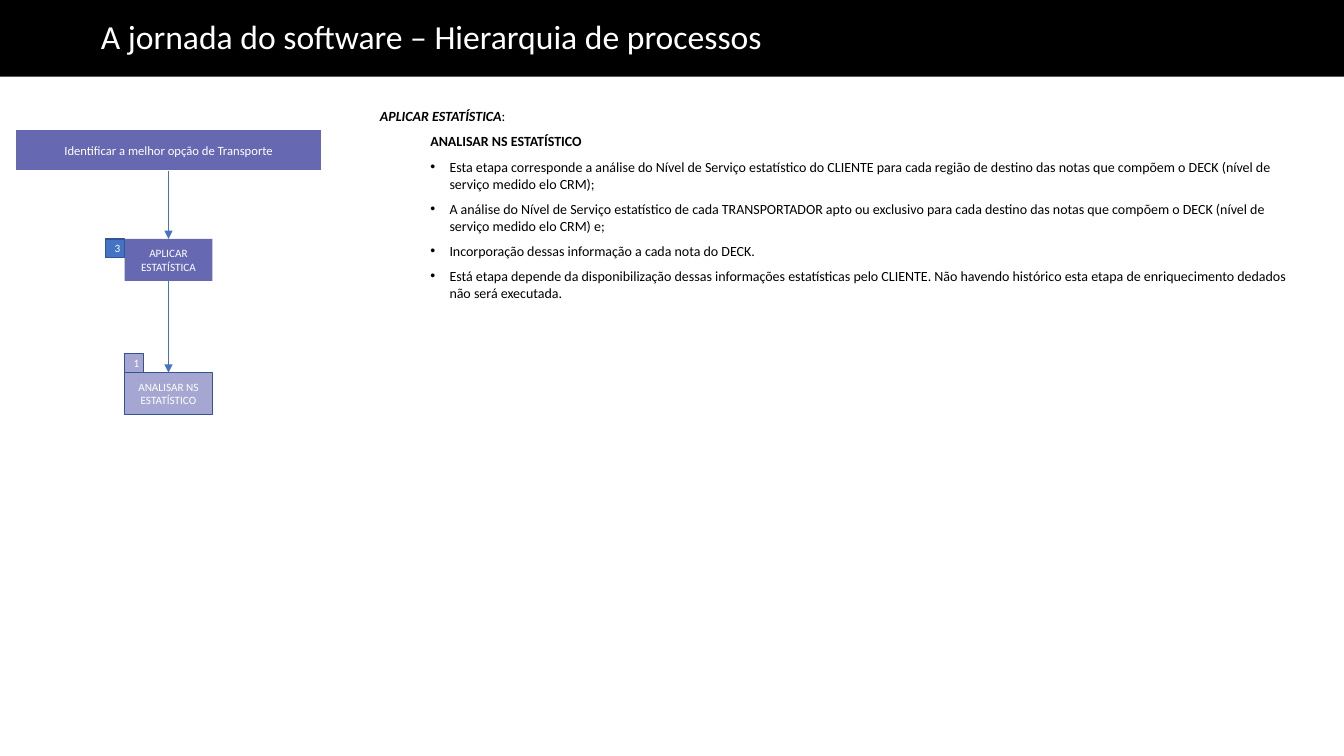
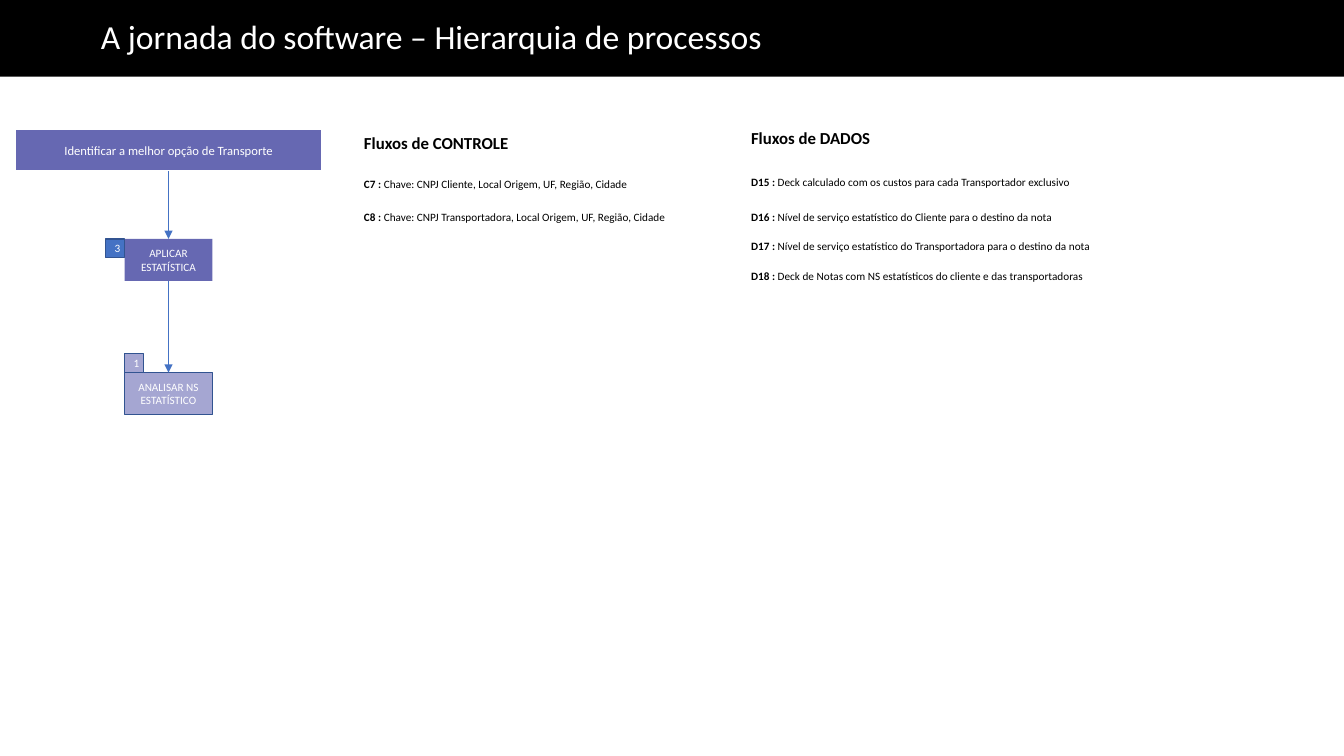
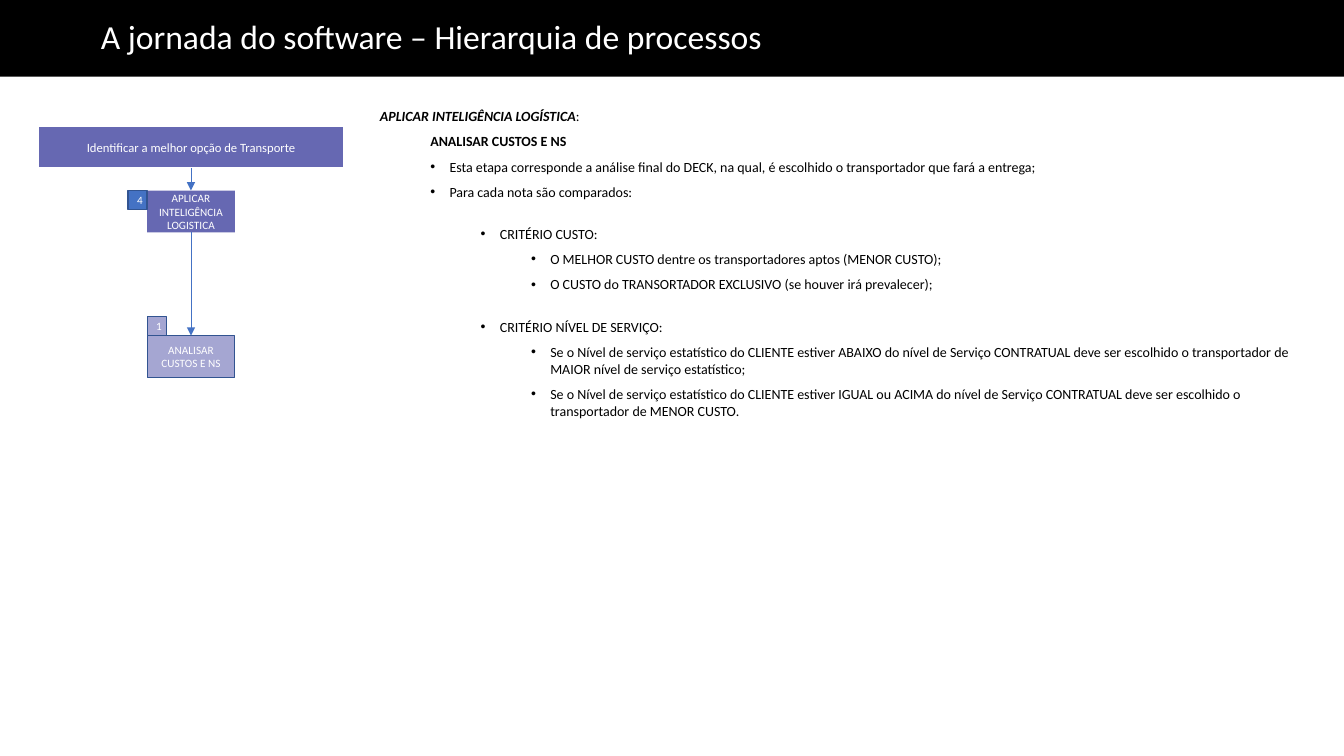
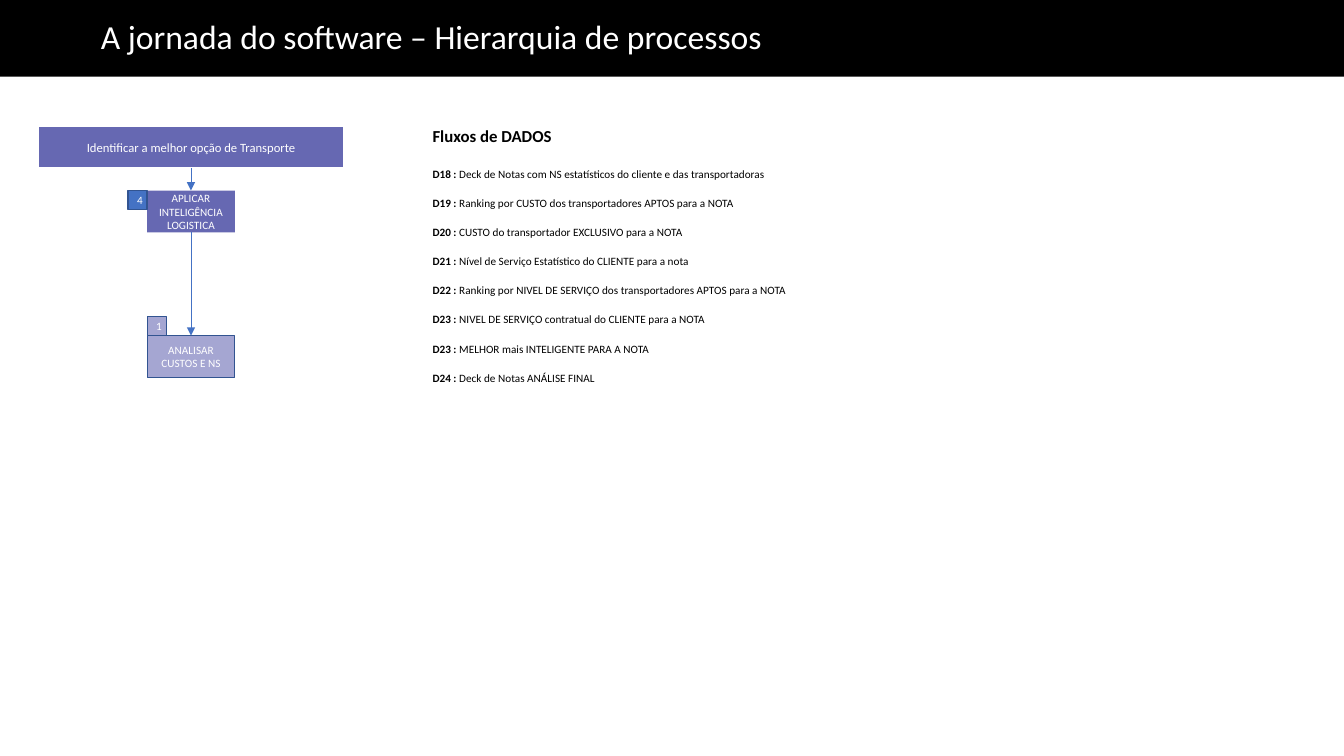
"""Build four slides that describe the process hierarchy of a transport software."""
from dataclasses import dataclass

from lxml import etree
from pptx import Presentation
from pptx.dml.color import RGBColor
from pptx.enum.shapes import MSO_CONNECTOR, MSO_SHAPE
from pptx.enum.text import MSO_ANCHOR, PP_ALIGN
from pptx.oxml.ns import qn
from pptx.shapes.autoshape import Shape
from pptx.slide import Slide
from pptx.text.text import _Paragraph as Paragraph
from pptx.util import Emu, Inches, Pt

RECTANGLE = MSO_SHAPE.RECTANGLE
STRAIGHT = MSO_CONNECTOR.STRAIGHT
MIDDLE = MSO_ANCHOR.MIDDLE
CENTER = PP_ALIGN.CENTER
LEFT = PP_ALIGN.LEFT
TOP_SIDE, BOTTOM_SIDE = 0, 2

BLACK = RGBColor(0x00, 0x00, 0x00)
WHITE = RGBColor(0xFF, 0xFF, 0xFF)
PURPLE = RGBColor(0x66, 0x68, 0xB2)
LILAC = RGBColor(0xA5, 0xA6, 0xD2)
BLUE = RGBColor(0x44, 0x72, 0xC4)
NAVY = RGBColor(0x32, 0x54, 0x91)

FONT = "Calibri"
TITLE = "A jornada do software – Hierarquia de processos"
GOAL = "Identificar a melhor opção de Transporte"
SLIDE_WIDTH, SLIDE_HEIGHT = Inches(13.33), Inches(7.5)
TITLE_ONLY = 5

BAND_HEIGHT = 10.13
GOAL_WIDTH, NODE_WIDTH, NODE_HEIGHT = 22.73, 6.53, 5.55
BADGE_WIDTH, BADGE_HEIGHT = 1.41, 2.5
FLOW_WIDTH, HEADING_HEIGHT, ENTRY_HEIGHT = 26.55, 2.67, 1.73
ENTRY_PITCH = 3.85
BULLET_INDENT, LEVEL_INDENT = 0.19, 0.5


@dataclass(frozen=True)
class Box:
    """A rectangle in percent of the slide's width and height."""

    left: float
    top: float
    width: float
    height: float


@dataclass(frozen=True)
class Style:
    """Fill, outline and text size of a rectangle."""

    fill: RGBColor
    line: RGBColor | None = None
    line_width: float = 0.5
    size: float = 8


@dataclass(frozen=True)
class Process:
    """The three-step diagram at the left of a slide."""

    center: float
    goal_top: float
    stage_top: float
    step_top: float
    number: str
    stage: str
    step: str


@dataclass(frozen=True)
class Item:
    """A paragraph of the description."""

    text: str
    level: int = 1
    space_before: float = 0


@dataclass(frozen=True)
class Description:
    """The stage, its step and the bullets that explain it."""

    stage: str
    step: str
    items: tuple[Item, ...]


@dataclass(frozen=True)
class FlowColumn:
    """A headed list of coded flows."""

    left: float
    heading_top: float
    heading: str
    tops: tuple[float, ...]
    entries: tuple[tuple[str, str], ...]


GOAL_STYLE = Style(PURPLE, WHITE, 1, 9)
STAGE_STYLE = Style(PURPLE)
STAGE_BADGE_STYLE = Style(BLUE, NAVY, 1)
STEP_STYLE = Style(LILAC, NAVY)
DESCRIPTION_BOX = Box(27.53, 13.6, 69.45, 43.33)


def evenly(first: float, count: int) -> tuple[float, ...]:
    """Return the tops of equally spaced entries."""
    return tuple(first + ENTRY_PITCH * row for row in range(count))


STATISTICS = Process(12.54, 17.07, 31.6, 49.3, "3",
                     "APLICAR\nESTATÍSTICA", "ANALISAR NS ESTATÍSTICO")
INTELLIGENCE = Process(14.21, 16.67, 25.2, 44.4, "4",
                       "APLICAR\nINTELIGÊNCIA LOGISTICA", "ANALISAR CUSTOS E NS")

STATISTICS_DESCRIPTION = Description("APLICAR ESTATÍSTICA", "ANALISAR NS ESTATÍSTICO", (
    Item("Esta etapa corresponde a análise do Nível de Serviço estatístico do CLIENTE para cada "
         "região de destino das notas que compõem o DECK (nível de serviço medido elo CRM);"),
    Item("A análise do Nível de Serviço estatístico de cada TRANSPORTADOR apto ou exclusivo para "
         "cada destino das notas que compõem o DECK (nível de serviço medido elo CRM) e;"),
    Item("Incorporação dessas informação a cada nota do DECK."),
    Item("Está etapa depende da disponibilização dessas informações estatísticas pelo CLIENTE. "
         "Não havendo histórico esta etapa de enriquecimento dedados não será executada."),
))

INTELLIGENCE_DESCRIPTION = Description("APLICAR INTELIGÊNCIA LOGÍSTICA", "ANALISAR CUSTOS E NS", (
    Item("Esta etapa corresponde a análise final do DECK, na qual, é escolhido o transportador "
         "que fará a entrega;"),
    Item("Para cada nota são comparados:"),
    Item("CRITÉRIO CUSTO:", 2, 12),
    Item("O MELHOR CUSTO dentre os transportadores aptos (MENOR CUSTO);", 3),
    Item("O CUSTO do TRANSORTADOR EXCLUSIVO (se houver irá prevalecer);", 3),
    Item("CRITÉRIO NÍVEL DE SERVIÇO:", 2, 12),
    Item("Se o Nível de serviço estatístico do CLIENTE estiver ABAIXO do nível de Serviço "
         "CONTRATUAL deve ser escolhido o transportador de MAIOR nível de serviço estatístico;", 3),
    Item("Se o Nível de serviço estatístico do CLIENTE estiver IGUAL ou ACIMA do nível de Serviço "
         "CONTRATUAL deve ser escolhido o transportador de MENOR CUSTO.", 3),
))

STATISTICS_FLOWS = (
    FlowColumn(27.08, 17.6, "Fluxos de CONTROLE", (23.47, 27.87), (
        ("C7", "Chave: CNPJ Cliente, Local Origem, UF, Região, Cidade"),
        ("C8", "Chave: CNPJ Transportadora, Local Origem, UF, Região, Cidade"),
    )),
    FlowColumn(55.88, 16.93, "Fluxos de DADOS", (23.2, *evenly(27.87, 3)), (
        ("D15", "Deck calculado com os custos para cada Transportador exclusivo"),
        ("D16", "Nível de serviço estatístico do Cliente para o destino da nota"),
        ("D17", "Nível de serviço estatístico do Transportadora para o destino da nota"),
        ("D18", "Deck de Notas com NS estatísticos do cliente e das transportadoras"),
    )),
)

INTELLIGENCE_FLOWS = (
    FlowColumn(32.18, 16.67, "Fluxos de DADOS", evenly(22.13, 8), (
        ("D18", "Deck de Notas com NS estatísticos do cliente e das transportadoras"),
        ("D19", "Ranking por CUSTO dos transportadores APTOS para a NOTA"),
        ("D20", "CUSTO do transportador EXCLUSIVO para a NOTA"),
        ("D21", "Nível de Serviço Estatístico do CLIENTE para a nota"),
        ("D22", "Ranking por NIVEL DE SERVIÇO dos transportadores APTOS para a NOTA"),
        ("D23", "NIVEL DE SERVIÇO contratual do CLIENTE para a NOTA"),
        ("D23", "MELHOR mais INTELIGENTE PARA A NOTA"),
        ("D24", "Deck de Notas ANÁLISE FINAL"),
    )),
)


def place(box: Box) -> tuple[Emu, Emu, Emu, Emu]:
    """Turn the shares of a box into lengths."""
    return (Emu(round(SLIDE_WIDTH * box.left / 100)), Emu(round(SLIDE_HEIGHT * box.top / 100)),
            Emu(round(SLIDE_WIDTH * box.width / 100)), Emu(round(SLIDE_HEIGHT * box.height / 100)))


def format_runs(paragraph: Paragraph, size: float, color: RGBColor = BLACK) -> None:
    """Give every run of a paragraph the shared font."""
    for run in paragraph.runs:
        run.font.name = FONT
        run.font.size = Pt(size)
        run.font.color.rgb = color


def add_lead(paragraph: Paragraph, lead: str, rest: str, size: float, italic: bool = False) -> None:
    """Write a bold lead followed by plain text."""
    for text, is_lead in ((lead, True), (rest, False)):
        run = paragraph.add_run()
        run.text = text
        run.font.bold = is_lead
        run.font.italic = is_lead and italic
    format_runs(paragraph, size)


def add_title(slide: Slide) -> None:
    """Make the title placeholder a black band across the slide."""
    title = slide.shapes.title
    title.left, title.top, title.width, title.height = place(Box(0, 0, 100, BAND_HEIGHT))
    title.fill.solid()
    title.fill.fore_color.rgb = BLACK
    frame = title.text_frame
    frame.text = TITLE
    frame.vertical_anchor = MIDDLE
    frame.margin_left = Inches(1)
    paragraph = frame.paragraphs[0]
    paragraph.alignment = LEFT
    paragraph.line_spacing = 0.9
    format_runs(paragraph, 24, WHITE)


def add_node(slide: Slide, box: Box, text: str, style: Style) -> Shape:
    """Draw a rectangle with centred white text."""
    shape = slide.shapes.add_shape(RECTANGLE, *place(box))
    shape.shadow.inherit = False
    shape.fill.solid()
    shape.fill.fore_color.rgb = style.fill
    if style.line is None:
        shape.line.fill.background()
    else:
        shape.line.color.rgb = style.line
        shape.line.width = Pt(style.line_width)
    frame = shape.text_frame
    frame.text = text
    frame.word_wrap = True
    frame.vertical_anchor = MIDDLE
    for paragraph in frame.paragraphs:
        paragraph.alignment = CENTER
        format_runs(paragraph, style.size, WHITE)
    return shape


def add_arrow(slide: Slide, upper: Shape, lower: Shape) -> None:
    """Join two rectangles with a downward arrow."""
    connector = slide.shapes.add_connector(STRAIGHT, 0, 0, 0, 0)
    connector.begin_connect(upper, BOTTOM_SIDE)
    connector.end_connect(lower, TOP_SIDE)
    connector.line.color.rgb = BLUE
    connector.line.width = Pt(0.5)
    properties = connector.element.spPr
    etree.SubElement(properties.find(qn("a:ln")), qn("a:tailEnd"), type="triangle")
    etree.SubElement(properties, qn("a:effectLst"))


def add_process(slide: Slide, process: Process) -> None:
    """Draw the goal, the stage and the step below one another."""
    node_left = process.center - NODE_WIDTH / 2
    goal = add_node(slide, Box(process.center - GOAL_WIDTH / 2, process.goal_top,
                               GOAL_WIDTH, NODE_HEIGHT), GOAL, GOAL_STYLE)
    stage = add_node(slide, Box(node_left, process.stage_top, NODE_WIDTH, NODE_HEIGHT),
                     process.stage, STAGE_STYLE)
    add_node(slide, Box(node_left - BADGE_WIDTH, process.stage_top, BADGE_WIDTH, BADGE_HEIGHT),
             process.number, STAGE_BADGE_STYLE)
    step = add_node(slide, Box(node_left, process.step_top, NODE_WIDTH, NODE_HEIGHT),
                    process.step, STEP_STYLE)
    add_node(slide, Box(node_left, process.step_top - BADGE_HEIGHT, BADGE_WIDTH, BADGE_HEIGHT),
             "1", STEP_STYLE)
    add_arrow(slide, goal, stage)
    add_arrow(slide, stage, step)


def indent(paragraph: Paragraph, level: int, bullet: bool) -> None:
    """Set the level, the left margin and the bullet of a paragraph."""
    paragraph.level = level
    hanging = BULLET_INDENT if bullet else 0
    properties = paragraph._p.get_or_add_pPr()
    properties.set("marL", str(Inches(LEVEL_INDENT * level + hanging)))
    properties.set("indent", str(Inches(-hanging)))
    if bullet:
        etree.SubElement(properties, qn("a:buFont"), typeface="Arial")
        etree.SubElement(properties, qn("a:buChar"), char="•")


def add_description(slide: Slide, description: Description) -> None:
    """Write the explanation of a stage as an indented list."""
    frame = slide.shapes.add_textbox(*place(DESCRIPTION_BOX)).text_frame
    frame.word_wrap = True
    heading = frame.paragraphs[0]
    heading.space_after = Pt(6)
    add_lead(heading, description.stage, ":", 10, italic=True)
    for item in (Item(description.step), *description.items):
        is_step = item.text == description.step
        paragraph = frame.add_paragraph()
        paragraph.text = item.text
        paragraph.space_before = Pt(item.space_before)
        paragraph.space_after = Pt(6)
        indent(paragraph, item.level, bullet=not is_step)
        format_runs(paragraph, 10)
        paragraph.runs[0].font.bold = is_step


def add_line(slide: Slide, box: Box, lead: str, rest: str, size: float) -> None:
    """Write one line of text without insets."""
    frame = slide.shapes.add_textbox(*place(box)).text_frame
    frame.word_wrap = True
    frame.margin_left = frame.margin_top = frame.margin_right = frame.margin_bottom = 0
    paragraph = frame.paragraphs[0]
    if rest:
        add_lead(paragraph, lead, rest, size)
    else:
        paragraph.text = lead
        format_runs(paragraph, size)
        paragraph.runs[0].font.bold = True


def add_flows(slide: Slide, column: FlowColumn) -> None:
    """Write a heading and the flows below it."""
    add_line(slide, Box(column.left, column.heading_top, FLOW_WIDTH, HEADING_HEIGHT),
             column.heading, "", 12)
    for top, (code, text) in zip(column.tops, column.entries):
        add_line(slide, Box(column.left, top, FLOW_WIDTH, ENTRY_HEIGHT), f"{code} :", f" {text}", 8)


def main() -> None:
    """Build and save the presentation."""
    presentation = Presentation()
    presentation.slide_width, presentation.slide_height = SLIDE_WIDTH, SLIDE_HEIGHT
    pages = (
        (STATISTICS, STATISTICS_DESCRIPTION, ()),
        (STATISTICS, None, STATISTICS_FLOWS),
        (INTELLIGENCE, INTELLIGENCE_DESCRIPTION, ()),
        (INTELLIGENCE, None, INTELLIGENCE_FLOWS),
    )
    for process, description, columns in pages:
        slide = presentation.slides.add_slide(presentation.slide_layouts[TITLE_ONLY])
        add_title(slide)
        add_process(slide, process)
        if description:
            add_description(slide, description)
        for column in columns:
            add_flows(slide, column)
    presentation.save("out.pptx")


if __name__ == "__main__":
    main()
